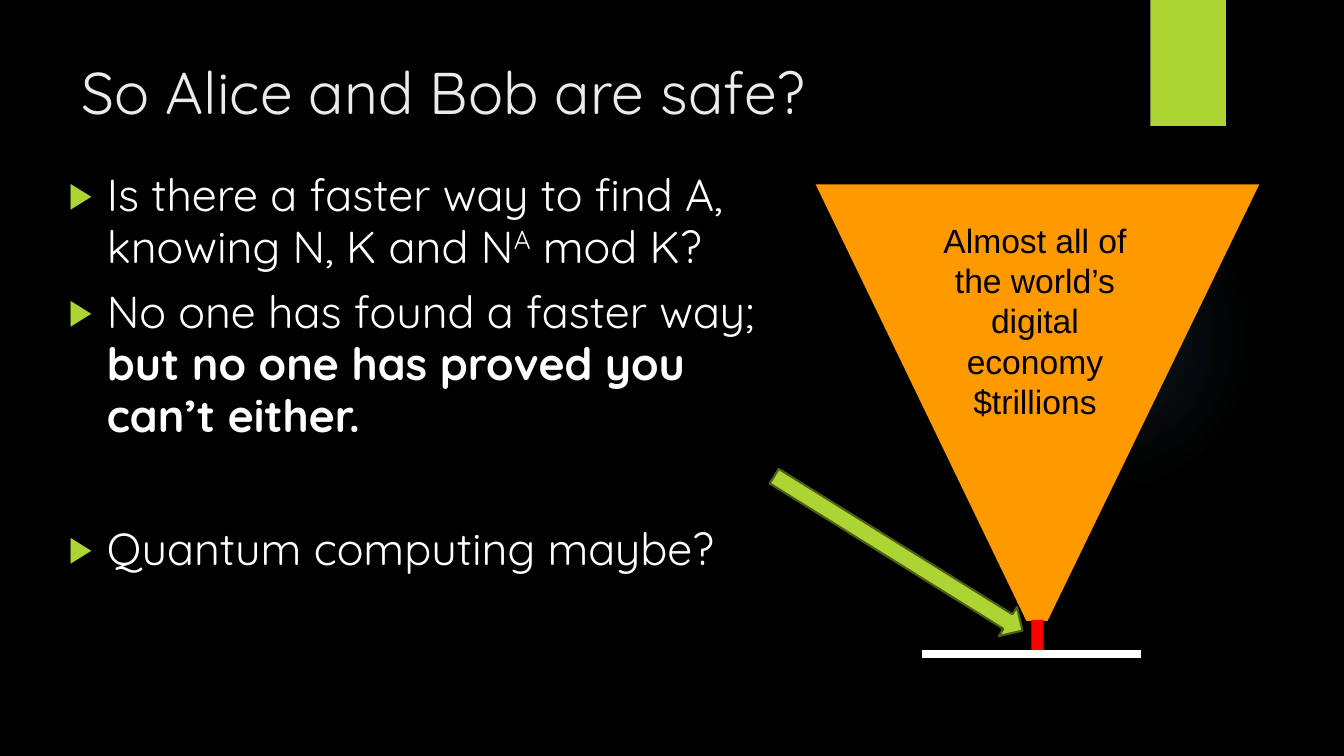
from lxml import etree
from pptx import Presentation
from pptx.dml.color import RGBColor
from pptx.enum.shapes import MSO_CONNECTOR, MSO_SHAPE
from pptx.enum.text import MSO_ANCHOR, MSO_AUTO_SIZE, PP_ALIGN
from pptx.oxml import parse_xml
from pptx.oxml.ns import nsdecls, qn
from pptx.util import Inches, Pt

LEFT, CENTER = PP_ALIGN.LEFT, PP_ALIGN.CENTER
TOP = MSO_ANCHOR.TOP
NO_AUTOFIT = MSO_AUTO_SIZE.NONE
STRAIGHT = MSO_CONNECTOR.STRAIGHT
RECTANGLE, OVAL = MSO_SHAPE.RECTANGLE, MSO_SHAPE.OVAL
RIGHT_ARROW = MSO_SHAPE.RIGHT_ARROW

COLORS = {
    "background": "000000", "glow": "7AC4F0", "green": "ACD433",
    "dark green": "4B5D16", "title": "EBEBEB", "white": "FFFFFF",
    "orange": "FF9900", "red": "FF0000", "black": "000000",
}

TITLE = "So Alice and Bob are safe?"
# Each bullet: space before in points, then its spans as (text, style)
BULLETS = [
    (0, [("Is there a faster way to find A, \vknowing N, K and N", "plain"),
         ("A", "superscript"), (" mod K?", "plain")]),
    (10, [("No one has found a faster way; ", "plain"),
          ("but no one has proved you can’t either.", "bold")]),
    (58.5, [("Quantum computing maybe?", "plain")]),
]
ECONOMY = "Almost all of the world’s digital economy $trillions"

TITLE_FONT = {"name": "Quicksand", "size": Pt(42), "color": "title"}
BODY_FONT = {"name": "Quicksand", "size": Pt(32), "color": "white"}
ECONOMY_FONT = {"name": "Arial", "size": Pt(24), "color": "black"}

FUNNEL = [(8.09, 1.83), (10.18, 6.16), (10.39, 6.16), (12.49, 1.83)]
GLOW_STOPS = [(0, 7), (36, 6), (69, 0)]  # position and opacity, in percent


def rgb(color):
    return RGBColor.from_string(COLORS[color])


def place(shape, left, top, width, height):
    shape.left, shape.top = Inches(left), Inches(top)
    shape.width, shape.height = Inches(width), Inches(height)


def set_font(font, formats):
    for name, value in formats.items():
        if name == "color":
            font.color.rgb = rgb(value)
        else:
            setattr(font, name, value)


def set_frame(frame):
    frame.word_wrap = True
    frame.auto_size = NO_AUTOFIT
    frame.vertical_anchor = TOP


def paint(shape, color):
    shape.shadow.inherit = False
    shape.fill.solid()
    shape.fill.fore_color.rgb = rgb(color)
    shape.line.fill.background()


def add_painted(slide, kind, box, color):
    shape = slide.shapes.add_shape(kind, *map(Inches, box))
    paint(shape, color)
    return shape


def add_glow(slide):
    glow = add_painted(slide, OVAL, (9.41, 1.83, 3.08, 3.08), "glow")
    stops = "".join(
        f'<a:gs pos="{position * 1000}"><a:srgbClr val="{COLORS["glow"]}">'
        f'<a:alpha val="{opacity * 1000}"/></a:srgbClr></a:gs>'
        for position, opacity in GLOW_STOPS)
    gradient = parse_xml(
        f'<a:gradFill {nsdecls("a")}><a:gsLst>{stops}</a:gsLst><a:path path="circle">'
        '<a:fillToRect l="50000" t="50000" r="50000" b="50000"/></a:path></a:gradFill>')
    properties = glow._element.spPr
    properties.replace(properties.find(qn("a:solidFill")), gradient)


def add_bullet(para):
    properties = para._p.get_or_add_pPr()
    properties.set("marL", str(Inches(0.38)))
    properties.set("indent", str(-Inches(0.38)))
    color = etree.SubElement(properties, qn("a:buClr"))
    etree.SubElement(color, qn("a:srgbClr"), val=COLORS["green"])
    etree.SubElement(properties, qn("a:buSzPct"), val="80000")
    etree.SubElement(properties, qn("a:buFont"), typeface="Arial")
    etree.SubElement(properties, qn("a:buChar"), char="▶")


def fill_title(title):
    place(title, 0.71, 0.5, 10.29, 1.53)
    set_frame(title.text_frame)
    title.text_frame.text = TITLE
    para = title.text_frame.paragraphs[0]
    para.alignment = LEFT
    set_font(para.runs[0].font, TITLE_FONT)


def fill_body(body):
    place(body, 0.58, 1.64, 7.51, 5.01)
    frame = body.text_frame
    set_frame(frame)
    for index, (space, spans) in enumerate(BULLETS):
        para = frame.add_paragraph() if index else frame.paragraphs[0]
        add_bullet(para)
        para.space_before = Pt(space)
        para.line_spacing = 0.96
        for text, style in spans:
            first_new = len(para.runs)
            if "\v" in text:
                before, after = text.split("\v")
                para.add_run().text = before
                para.add_line_break()
                para.add_run().text = after
            else:
                para.add_run().text = text
            for span in para.runs[first_new:]:
                set_font(span.font, BODY_FONT)
                span.font.bold = style == "bold"
                if style == "superscript":
                    span._r.get_or_add_rPr().set("baseline", "30000")


def add_funnel(slide):
    points = [(Inches(x), Inches(y)) for x, y in FUNNEL]
    builder = slide.shapes.build_freeform(*points[0])
    builder.add_line_segments(points[1:], close=True)
    paint(builder.convert_to_shape(), "orange")


def add_ground(slide):
    ground = slide.shapes.add_connector(
        STRAIGHT, Inches(9.14), Inches(6.49), Inches(11.32), Inches(6.49))
    ground.line.color.rgb = rgb("white")
    ground.line.width = Pt(6)
    etree.SubElement(ground._element.spPr, qn("a:effectLst"))


def add_economy_label(slide):
    label = slide.shapes.add_textbox(*map(Inches, (9.01, 2.13, 2.51, 2.12)))
    set_frame(label.text_frame)
    para = label.text_frame.paragraphs[0]
    para.alignment = CENTER
    span = para.add_run()
    span.text = ECONOMY
    set_font(span.font, ECONOMY_FONT)


def add_arrow(slide):
    arrow = add_painted(slide, RIGHT_ARROW, (7.46, 5.32, 2.9, 0.34), "green")
    arrow.rotation = 31.9
    arrow.line.color.rgb = rgb("dark green")
    arrow.line.width = Pt(1.5)


def main():
    deck = Presentation()
    deck.slide_width, deck.slide_height = Inches(13.33), Inches(7.5)
    slide = deck.slides.add_slide(deck.slide_layouts[1])
    slide.background.fill.solid()
    slide.background.fill.fore_color.rgb = rgb("background")
    add_glow(slide)
    add_painted(slide, RECTANGLE, (11.41, 0, 0.75, 1.25), "green")
    fill_title(slide.shapes.title)
    fill_body(slide.placeholders[1])
    add_funnel(slide)
    add_painted(slide, RECTANGLE, (10.23, 6.15, 0.12, 0.34), "red")
    add_ground(slide)
    add_economy_label(slide)
    add_arrow(slide)
    deck.save("out.pptx")


if __name__ == "__main__":
    main()
